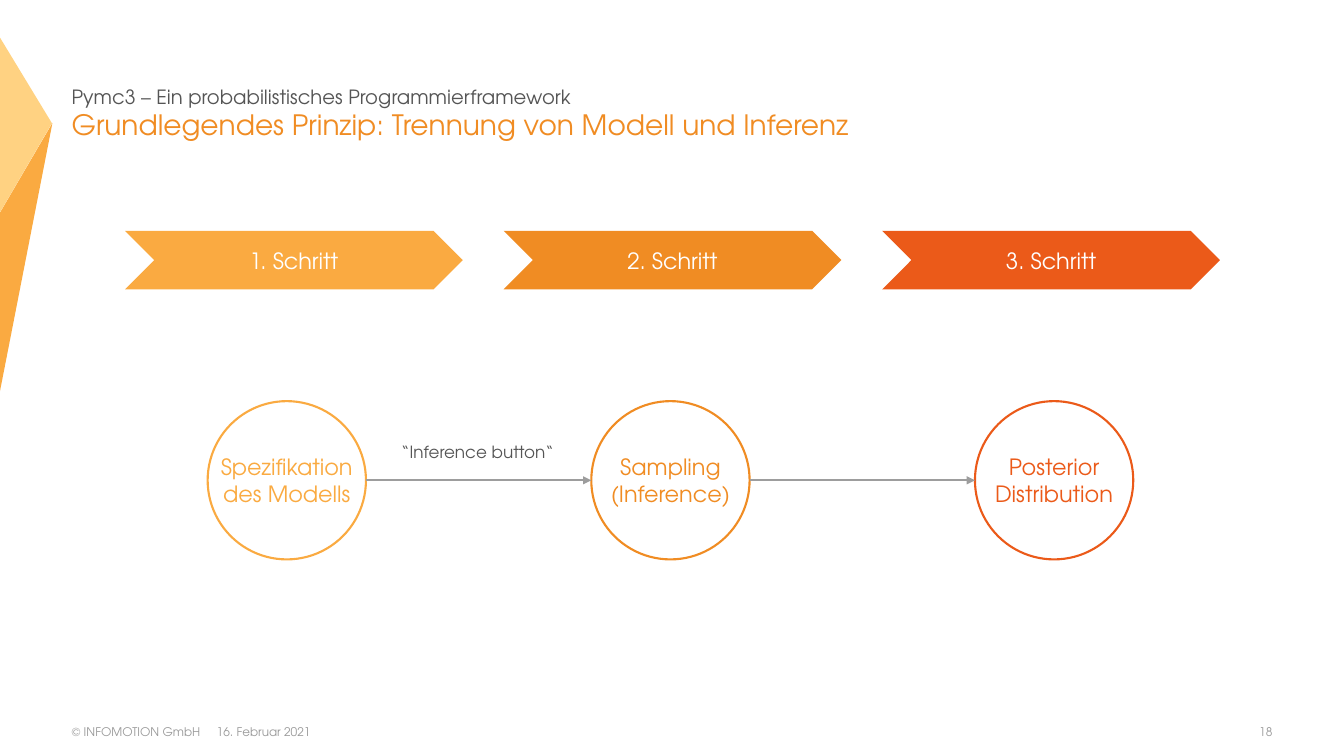
from pptx import Presentation
from pptx import util as u
from pptx.dml.color import RGBColor
from pptx.enum import shapes, text
from pptx.oxml.ns import qn
from lxml import etree

FONT = "TeX Gyre Adventor"
GREY, DARK, ARROW = "999999", "555555", "9D9D9D"
LIGHT, AMBER, ORANGE, RED, WHITE = "FFD282", "FAAA41", "F08C23", "EB5A19", "FFFFFF"

TITLE = "Grundlegendes Prinzip: Trennung von Modell und Inferenz"
SUBTITLE = "Pymc3 – Ein probabilistisches Programmierframework"
STEPS = [
    ("1. Schritt", "Spezifikation\ndes Modells", AMBER),
    ("2. Schritt", "Sampling\n(Inference)", ORANGE),
    ("3. Schritt", "Posterior\nDistribution", RED),
]
BUTTON = "“Inference button“"
FOOTER = [
    ("© INFOMOTION GmbH", 0.71, 1.3, text.PP_ALIGN.LEFT),
    ("16. Februar 2021", 2.15, 1.57, text.PP_ALIGN.LEFT),
    ("18", 11.89, 0.73, text.PP_ALIGN.RIGHT),
]

CHEVRON_LEFT, CHEVRON_TOP, CHEVRON_STEP = 1.24, 2.29, 3.755
CHEVRON_SIZE = (3.35, 0.58)
CIRCLE_LEFT, CIRCLE_TOP, CIRCLE_STEP, CIRCLE = 2.06, 3.98, 3.805, 1.57
LABEL_WIDTH, LABEL_HEIGHT = 1.4, 0.54


def inches(*values):
    return [u.Inches(value) for value in values]


def color(hex_string):
    return RGBColor.from_string(hex_string)


def write(shape, words, size, hex_string, align=text.PP_ALIGN.LEFT,
          anchor=text.MSO_ANCHOR.TOP, wrap=True, margin=0):
    frame = shape.text_frame
    frame.text = words
    frame.word_wrap = wrap
    frame.auto_size = text.MSO_AUTO_SIZE.NONE
    frame.vertical_anchor = anchor
    frame.margin_left = frame.margin_right = u.Inches(margin)
    frame.margin_top = frame.margin_bottom = u.Inches(margin / 2)
    for para in frame.paragraphs:
        para.alignment = align
        for span in para.runs:
            span.font.name = FONT
            span.font.size = u.Pt(size)
            span.font.color.rgb = color(hex_string)


def paint(shape, fill=None, line=None):
    shape.shadow.inherit = False
    if fill:
        shape.fill.solid()
        shape.fill.fore_color.rgb = color(fill)
    else:
        shape.fill.background()
    if line:
        shape.line.color.rgb = color(line)
        shape.line.width = u.Pt(1.5)
    else:
        shape.line.fill.background()


def add_arrow(slide, start, end, y):
    arrow = slide.shapes.add_connector(
        shapes.MSO_CONNECTOR.STRAIGHT, *inches(start, y, end, y))
    arrow.line.color.rgb = color(ARROW)
    arrow.line.width = u.Pt(1.5)
    properties = arrow.line._get_or_add_ln()
    etree.SubElement(properties, qn("a:tailEnd"), type="triangle")
    etree.SubElement(arrow._element.spPr, qn("a:effectLst"))


def add_decoration(slide):
    outline = slide.shapes.build_freeform(*inches(0, 3.88))
    outline.add_line_segments([inches(0, 2.11), inches(0.52, 1.22)], close=True)
    paint(outline.convert_to_shape(), AMBER)
    triangle = slide.shapes.add_shape(
        shapes.MSO_SHAPE.ISOSCELES_TRIANGLE, *inches(-0.62, 0.98, 1.75, 0.52))
    triangle.rotation = 90
    triangle.adjustments[0] = 0.49
    paint(triangle, LIGHT)


def add_headings(slide):
    title = slide.shapes.title
    title.left, title.top, title.width, title.height = inches(0.71, 1.07, 11.91, 0.67)
    write(title, TITLE, 20, ORANGE)
    subtitle = slide.shapes.add_textbox(*inches(0.71, 0.8, 11.91, 0.28))
    write(subtitle, SUBTITLE, 14, DARK)
    subtitle.text_frame.paragraphs[0].line_spacing = 1.2


def add_steps(slide):
    middle = CIRCLE_TOP + CIRCLE / 2
    for index, (step, label, hue) in enumerate(STEPS):
        chevron = slide.shapes.add_shape(
            shapes.MSO_SHAPE.CHEVRON,
            *inches(CHEVRON_LEFT + index * CHEVRON_STEP, CHEVRON_TOP, *CHEVRON_SIZE))
        paint(chevron, hue)
        write(chevron, step, 16, WHITE, text.PP_ALIGN.CENTER,
              text.MSO_ANCHOR.MIDDLE, margin=0.08)

        left = CIRCLE_LEFT + index * CIRCLE_STEP
        circle = slide.shapes.add_shape(
            shapes.MSO_SHAPE.OVAL, *inches(left, CIRCLE_TOP, CIRCLE, CIRCLE))
        paint(circle, line=hue)
        box = slide.shapes.add_textbox(*inches(
            left + (CIRCLE - LABEL_WIDTH) / 2, middle - LABEL_HEIGHT / 2,
            LABEL_WIDTH, LABEL_HEIGHT))
        write(box, label, 16, hue, text.PP_ALIGN.CENTER, wrap=False)
        if index:
            add_arrow(slide, left - CIRCLE_STEP + CIRCLE, left, middle)

    button = slide.shapes.add_textbox(*inches(3.98, 4.38, 1.54, 0.2))
    write(button, BUTTON, 12, DARK, wrap=False)


def add_footer(slide):
    for words, left, width, align in FOOTER:
        box = slide.shapes.add_textbox(*inches(left, 7.2, width, 0.12))
        write(box, words, 8.5, GREY, align, text.MSO_ANCHOR.MIDDLE)


def main():
    deck = Presentation()
    deck.slide_width, deck.slide_height = inches(13.33, 7.5)
    slide = deck.slides.add_slide(deck.slide_layouts[5])
    add_decoration(slide)
    add_headings(slide)
    add_steps(slide)
    add_footer(slide)
    deck.save("out.pptx")


if __name__ == "__main__":
    main()
